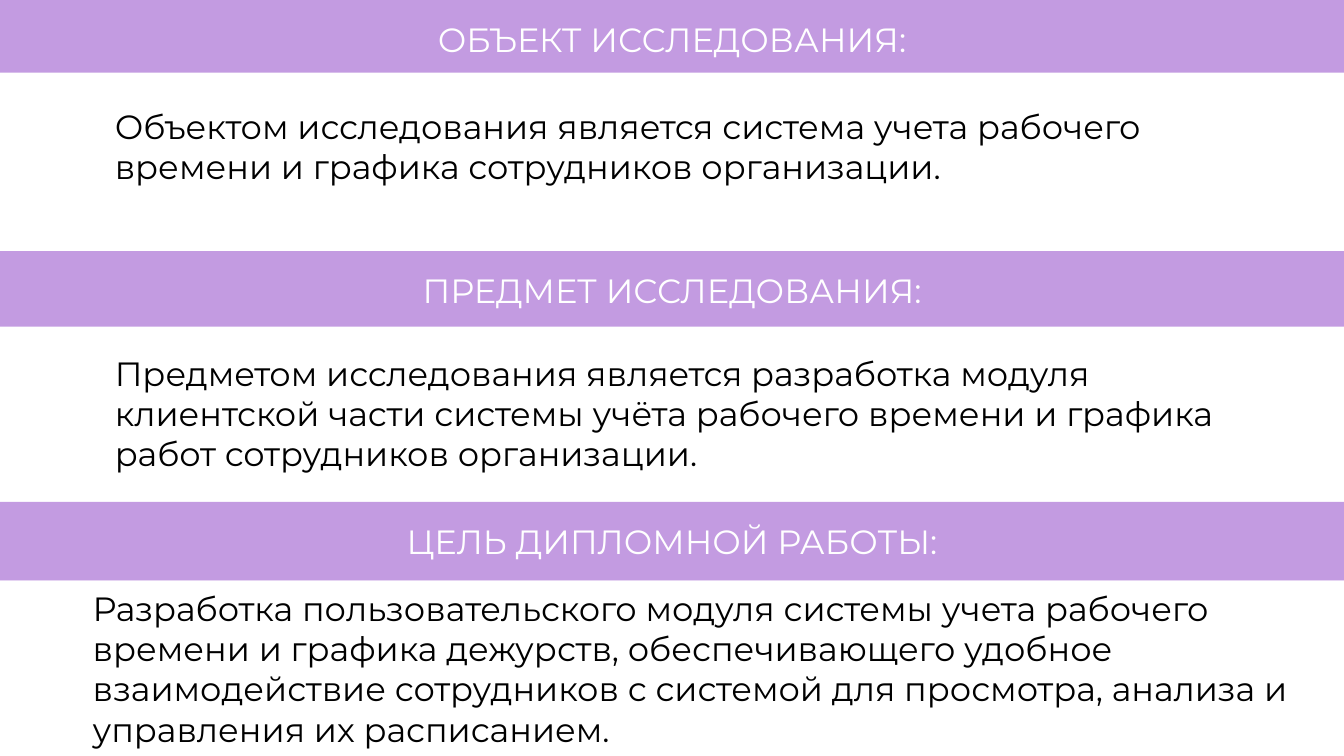
"""Build a slide stating the object, subject and goal of a diploma project."""
from dataclasses import dataclass

from pptx import Presentation
from pptx.dml.color import RGBColor
from pptx.enum.shapes import MSO_SHAPE
from pptx.enum.text import MSO_ANCHOR, PP_ALIGN
from pptx.shapes.autoshape import Shape
from pptx.slide import Slide
from pptx.util import Inches, Pt

LILAC = RGBColor(0xC3, 0x9B, 0xE1)
WHITE = RGBColor(0xFF, 0xFF, 0xFF)
BLACK = RGBColor(0x00, 0x00, 0x00)
FONT = "Montserrat"
FONT_SIZE = Pt(24)
SLIDE_WIDTH, SLIDE_HEIGHT = 13.33, 7.5
HEADING_PITCH, HEADING_HEIGHT = 2.49, 0.78
PANEL_TOP, PANEL_PITCH, PANEL_HEIGHT = 0.72, 2.52, 1.77


@dataclass(frozen=True)
class Section:
    heading: str
    statement: str
    left: float
    top: float
    width: float
    height: float


SECTIONS = [
    Section(
        "ОБЪЕКТ ИССЛЕДОВАНИЯ:",
        "Объектом исследования является система учета рабочего времени "
        "и графика сотрудников организации.",
        1.04, 1, 11.87, 1.31,
    ),
    Section(
        "ПРЕДМЕТ ИССЛЕДОВАНИЯ:",
        "Предметом исследования является разработка модуля клиентской части "
        "системы учёта рабочего времени и графика работ сотрудников организации.",
        1.04, 3.45, 11.87, 1.31,
    ),
    Section(
        "ЦЕЛЬ ДИПЛОМНОЙ РАБОТЫ:",
        "Разработка пользовательского модуля системы учета рабочего времени "
        "и графика дежурств, обеспечивающего удобное взаимодействие сотрудников "
        "с системой для просмотра, анализа и управления их расписанием.",
        0.82, 5.78, 12.31, 1.72,
    ),
]


def write(shape: Shape, text: str, color: RGBColor, align: PP_ALIGN) -> None:
    frame = shape.text_frame
    frame.word_wrap = True
    frame.text = text
    paragraph = frame.paragraphs[0]
    paragraph.alignment = align
    font = paragraph.runs[0].font
    font.name = FONT
    font.size = FONT_SIZE
    font.color.rgb = color


def add_band(slide: Slide, top: float, height: float, color: RGBColor) -> Shape:
    band = slide.shapes.add_shape(
        MSO_SHAPE.RECTANGLE, 0, Inches(top), Inches(SLIDE_WIDTH), Inches(height)
    )
    band.shadow.inherit = False
    band.fill.solid()
    band.fill.fore_color.rgb = color
    band.line.fill.background()
    return band


def add_section_bands(slide: Slide, index: int, section: Section) -> None:
    heading = add_band(slide, index * HEADING_PITCH, HEADING_HEIGHT, LILAC)
    heading.text_frame.vertical_anchor = MSO_ANCHOR.MIDDLE
    write(heading, section.heading, WHITE, PP_ALIGN.CENTER)
    add_band(slide, PANEL_TOP + index * PANEL_PITCH, PANEL_HEIGHT, WHITE)


def add_statement(slide: Slide, section: Section) -> None:
    statement = slide.shapes.add_textbox(
        Inches(section.left), Inches(section.top),
        Inches(section.width), Inches(section.height),
    )
    write(statement, section.statement, BLACK, PP_ALIGN.LEFT)


def main() -> None:
    presentation = Presentation()
    presentation.slide_width = Inches(SLIDE_WIDTH)
    presentation.slide_height = Inches(SLIDE_HEIGHT)
    slide = presentation.slides.add_slide(presentation.slide_layouts[6])
    for index, section in enumerate(SECTIONS):
        add_section_bands(slide, index, section)
    for section in SECTIONS:
        add_statement(slide, section)
    presentation.save("out.pptx")


if __name__ == "__main__":
    main()
